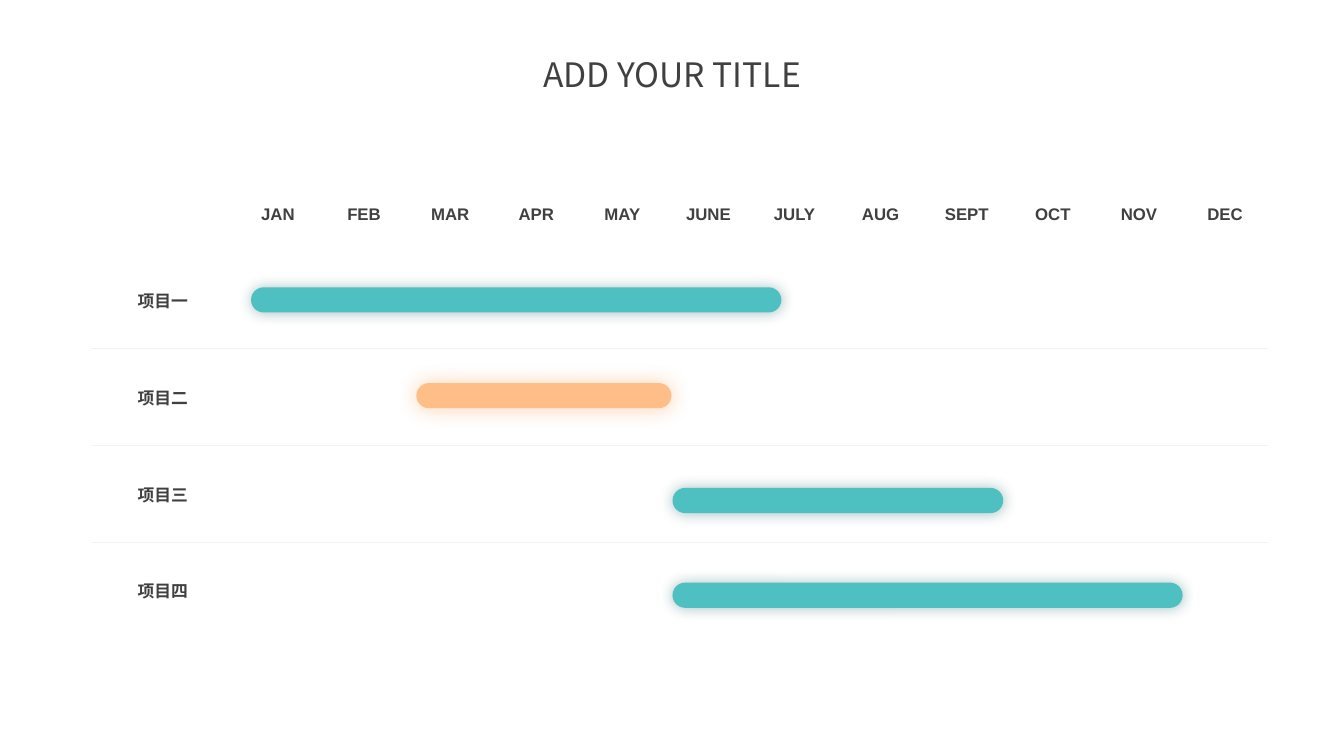
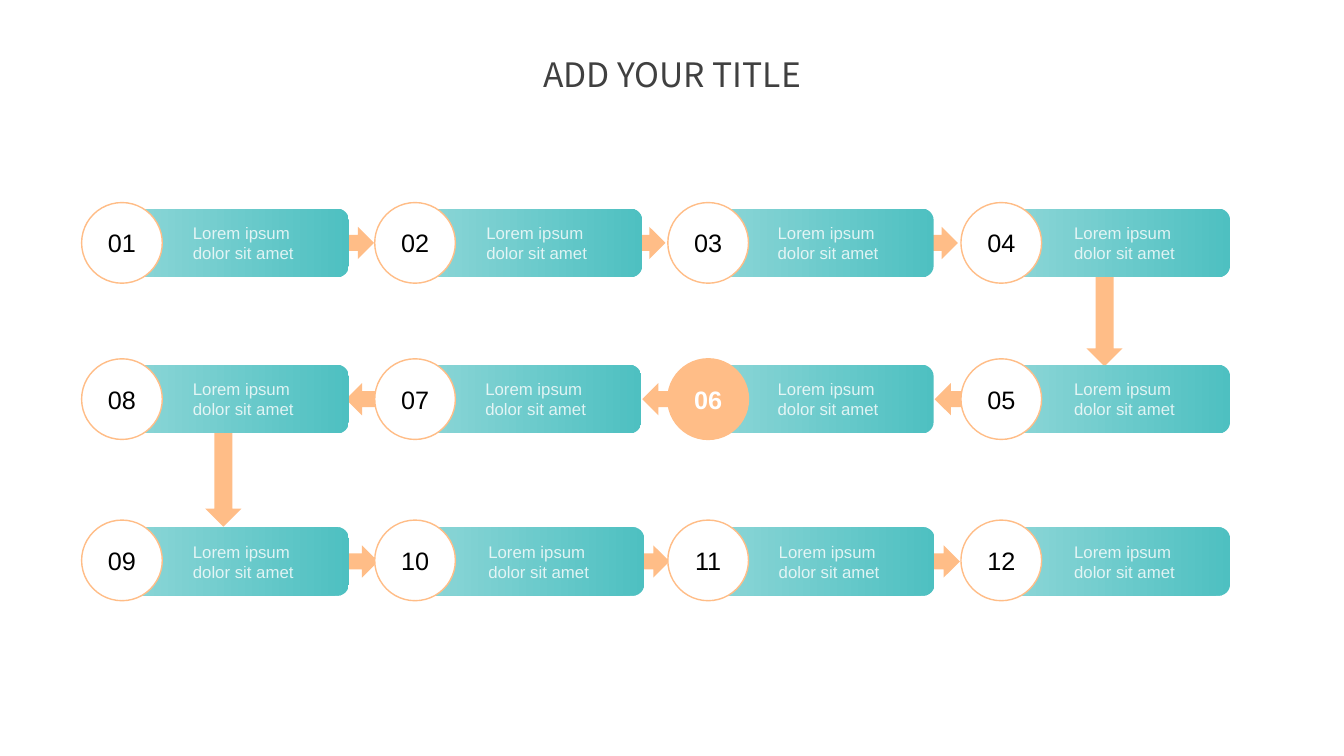
from lxml import etree
from pptx import Presentation
from pptx.dml.color import RGBColor
from pptx.enum.shapes import MSO_SHAPE
from pptx.enum.text import MSO_ANCHOR, PP_ALIGN
from pptx.oxml.ns import qn
from pptx.util import Inches, Pt

BAR, DISC, ARROW = MSO_SHAPE.ROUNDED_RECTANGLE, MSO_SHAPE.OVAL, MSO_SHAPE.RIGHT_ARROW
MIDDLE, CENTER, LEFT = MSO_ANCHOR.MIDDLE, PP_ALIGN.CENTER, PP_ALIGN.LEFT
TEAL, PALE, PEACH, INK, RULE = "4EC0C1", "95D9DA", "FFBD87", "404040", "F2F2F2"
WHITE, BLACK = "FFFFFF", "000000"
SANS, CJK = "Arial", "Noto Sans CJK TC"
PLAIN = "{2D5ABB26-0587-4C30-8999-92F81FD0307C}"

TITLE = "ADD YOUR TITLE"
TITLE_FONT = {"name": CJK, "size": Pt(24)}
HEAD_FONT = {"name": SANS, "size": Pt(12), "bold": True}
STEP_FONT = {"name": SANS, "size": Pt(12)}
DISC_FONT = {"name": SANS, "size": Pt(18)}

MONTHS = ["JAN", "FEB", "MAR", "APR", "MAY", "JUNE",
          "JULY", "AUG", "SEPT", "OCT", "NOV", "DEC"]
TASKS = ["项目一", "项目二", "项目三", "项目四"]
TEAL_GLOW, PEACH_GLOW = ("236464", 10), ("FF9137", 15)
# left, top, width, colour, glow
SPANS = [
    (2.49, 2.85, 5.26, TEAL, TEAL_GLOW),
    (4.13, 3.8, 2.53, PEACH, PEACH_GLOW),
    (6.67, 4.84, 3.28, TEAL, TEAL_GLOW),
    (6.67, 5.78, 5.06, TEAL, TEAL_GLOW),
]

STEP = "Lorem ipsum dolor sit amet"
ACTIVE = "06"
# disc top, bar top, numbers, bar lefts, arrow lefts, arrow turn
ROWS = [
    (2.01, 2.07, ["01", "02", "03", "04"], [0.98, 3.89, 6.78, 9.72],
     [3.3, 6.19, 9.09], 0),
    (3.56, 3.62, ["08", "07", "06", "05"], [0.98, 3.88, 6.78, 9.72],
     [3.43, 6.37, 9.27], 180),
    (5.16, 5.23, ["09", "10", "11", "12"], [0.98, 3.91, 6.79, 9.72],
     [3.34, 6.23, 9.11], 0),
]
DROPS = [(1.64, 4.47), (10.38, 2.88)]
DISC_X, DISC_GAP, DISC_D = 0.81, 2.907, 0.8


def rgb(code):
    return RGBColor.from_string(code)


def put(item, values):
    for key, value in values.items():
        setattr(item, key, value)


def write(frame, text, font, color, align=CENTER):
    para = frame.paragraphs[0]
    para.alignment = align
    run = para.add_run()
    run.text = text
    put(run.font, font)
    run.font.color.rgb = rgb(color)
    etree.SubElement(run.font._element, qn("a:ea"), typeface=CJK)
    return para


def add_part(slide, kind, box, color=None, line=None):
    part = slide.shapes.add_shape(kind, *map(Inches, box))
    part.shadow.inherit = False
    if color:
        part.fill.solid()
        part.fill.fore_color.rgb = rgb(color)
    if line:
        part.line.color.rgb = rgb(line)
        part.line.width = Pt(1)
    else:
        part.line.fill.background()
    return part


def add_alpha(clr, percent):
    etree.SubElement(clr, qn("a:alpha"), val=str(percent * 1000))


def add_glow(part, color, blur):
    """Give the part a soft, centred shadow."""
    effects = part._element.spPr.find(qn("a:effectLst"))
    shade = etree.SubElement(effects, qn("a:outerShdw"), blurRad=str(Pt(blur)),
                             dist="0", dir="0", algn="ctr", rotWithShape="0")
    add_alpha(etree.SubElement(shade, qn("a:srgbClr"), val=color), 40)


def add_slide(deck):
    slide = deck.slides.add_slide(deck.slide_layouts[6])
    box = slide.shapes.add_textbox(*map(Inches, (5.23, 0.53, 2.87, 0.46)))
    box.text_frame.word_wrap = False
    write(box.text_frame, TITLE, TITLE_FONT, INK).line_spacing = 0.9
    return slide


def rule_below(cell):
    edge = etree.Element(qn("a:lnB"), w=str(Pt(0.5)))
    fill = etree.SubElement(edge, qn("a:solidFill"))
    etree.SubElement(fill, qn("a:srgbClr"), val=RULE)
    cell._tc.get_or_add_tcPr().insert(0, edge)


def add_grid(slide):
    grid = slide.shapes.add_table(len(TASKS) + 1, len(MONTHS) + 1,
                                  *map(Inches, (0.9, 1.75, 11.68, 4.59))).table
    put(grid, {"first_row": False, "horz_banding": False})
    grid._tbl.tblPr.find(qn("a:tableStyleId")).text = PLAIN
    for i, col in enumerate(grid.columns):
        col.width = Inches(11.68 - 1.43) // len(MONTHS) if i else Inches(1.43)
    for i, row in enumerate(grid.rows):
        row.height = Inches(0.96 if i else 0.75)
        for cell in row.cells:
            cell.fill.background()
            cell.vertical_anchor = MIDDLE
            if 0 < i < len(TASKS):
                rule_below(cell)
    for i, month in enumerate(MONTHS, 1):
        cell = grid.cell(0, i)
        put(cell, {"margin_left": Inches(0.01), "margin_right": Inches(0.01),
                   "margin_top": Inches(0.01), "margin_bottom": 0})
        write(cell.text_frame, month, HEAD_FONT, INK)
    for i, task in enumerate(TASKS, 1):
        write(grid.cell(i, 0).text_frame, task, HEAD_FONT, INK)


def add_arrow(slide, box, turn):
    add_part(slide, ARROW, box, PEACH).rotation = turn


def add_step(slide, x, y):
    bar = add_part(slide, BAR, (x, y, 2.48, 0.68))
    bar.fill.gradient()
    bar.fill.gradient_angle = 180
    for stop, color in zip(bar.fill.gradient_stops, (TEAL, PALE)):
        stop.color.rgb = rgb(color)
    frame = bar.text_frame
    put(frame, {"word_wrap": True, "vertical_anchor": MIDDLE,
                "margin_left": Inches(0.27), "margin_right": Inches(0.27),
                "margin_top": Inches(0.13), "margin_bottom": Inches(0.13)})
    para = write(frame, STEP, STEP_FONT, WHITE, LEFT)
    para._p.get_or_add_pPr().set("marL", str(Inches(0.63)))
    add_alpha(next(para._p.iter(qn("a:srgbClr"))), 80)


def add_disc(slide, x, y, number):
    active = number == ACTIVE
    disc = add_part(slide, DISC, (x, y, DISC_D, DISC_D),
                    PEACH if active else WHITE, PEACH)
    put(disc.text_frame, {"word_wrap": False, "vertical_anchor": MIDDLE})
    write(disc.text_frame, number, {**DISC_FONT, "bold": active},
          WHITE if active else BLACK)


def build_plan(deck):
    slide = add_slide(deck)
    add_grid(slide)
    for x, y, width, color, glow in SPANS:
        span = add_part(slide, BAR, (x, y, width, 0.25), color)
        span.adjustments[0] = 0.5
        add_glow(span, *glow)


def build_flow(deck):
    slide = add_slide(deck)
    for x, y in DROPS:
        add_arrow(slide, (x, y, 1.15, 0.36), 90)
    for top, bar_y, numbers, bars, arrows, turn in ROWS:
        for x in arrows:
            add_arrow(slide, (x, bar_y + 0.18, 0.41, 0.32), turn)
        for x in bars:
            add_step(slide, x, bar_y)
        for i, number in enumerate(numbers):
            add_disc(slide, DISC_X + i * DISC_GAP, top, number)


def main():
    deck = Presentation()
    put(deck, {"slide_width": Inches(13.33), "slide_height": Inches(7.5)})
    build_plan(deck)
    build_flow(deck)
    deck.save("out.pptx")


if __name__ == "__main__":
    main()
